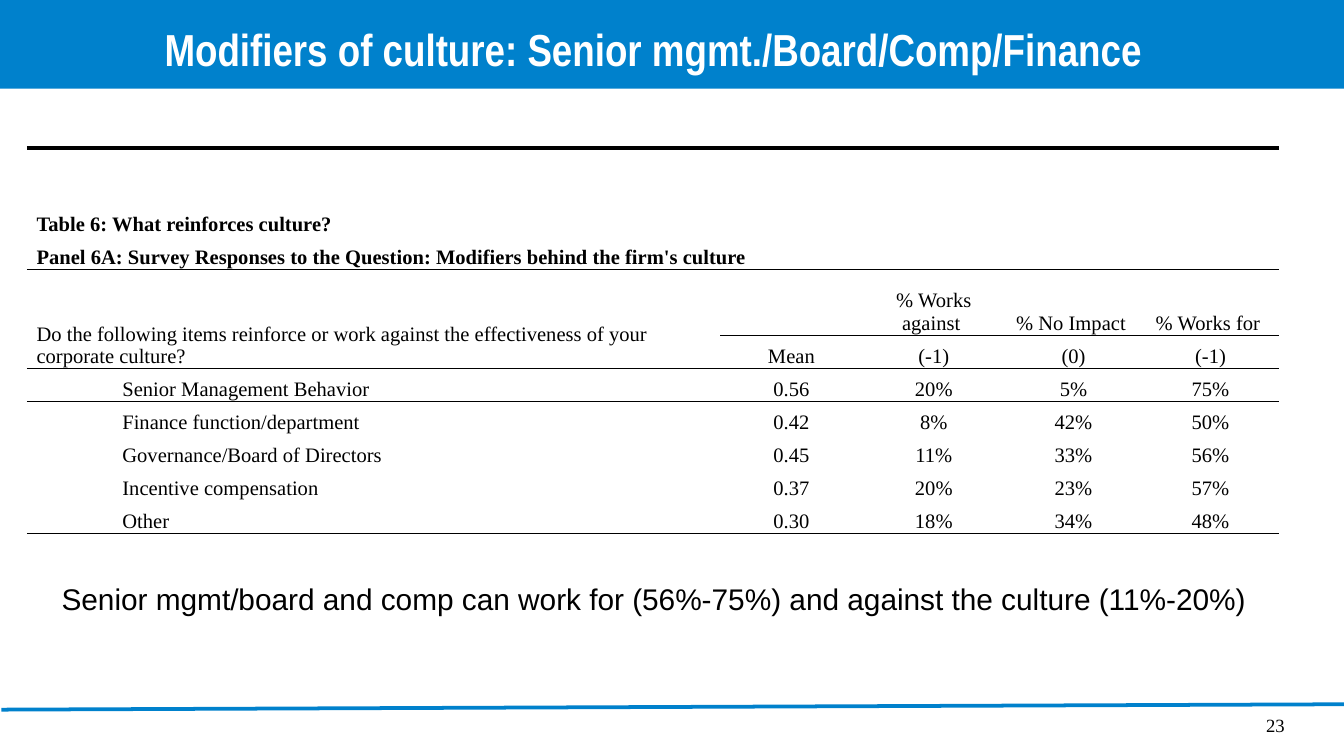
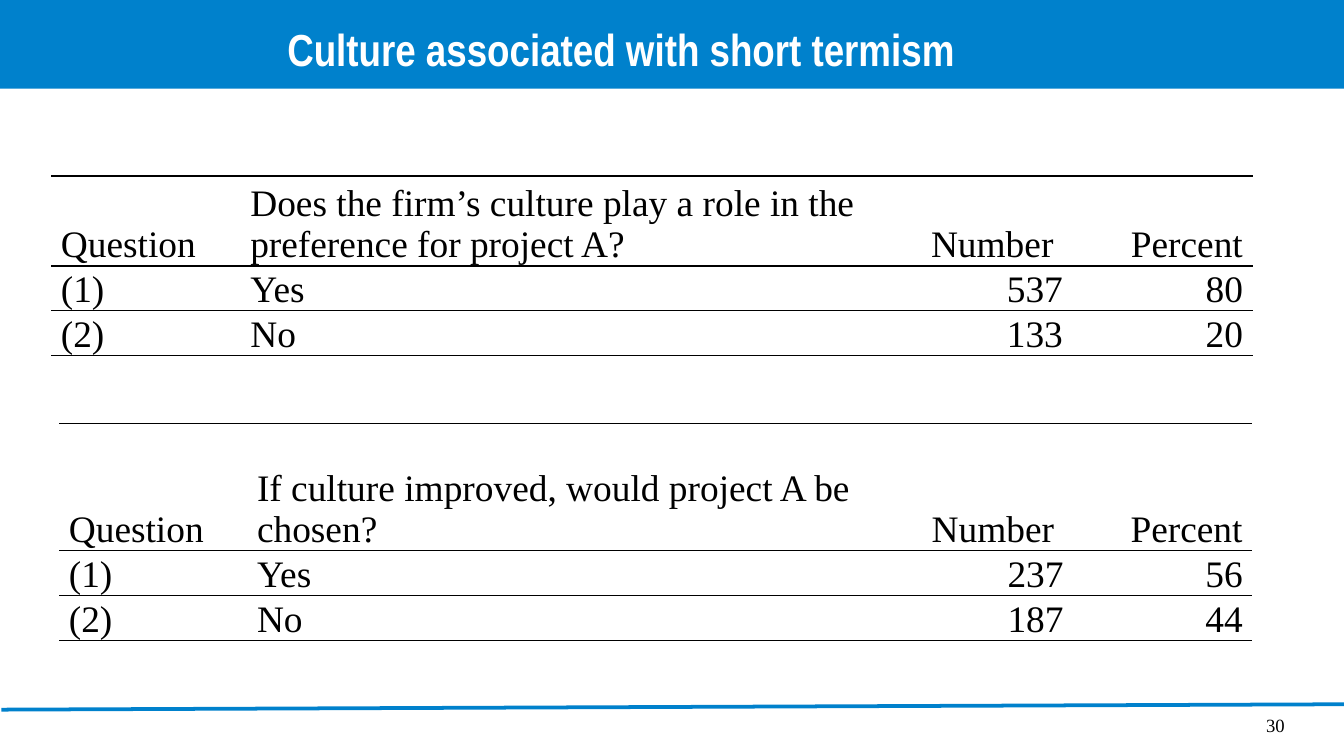
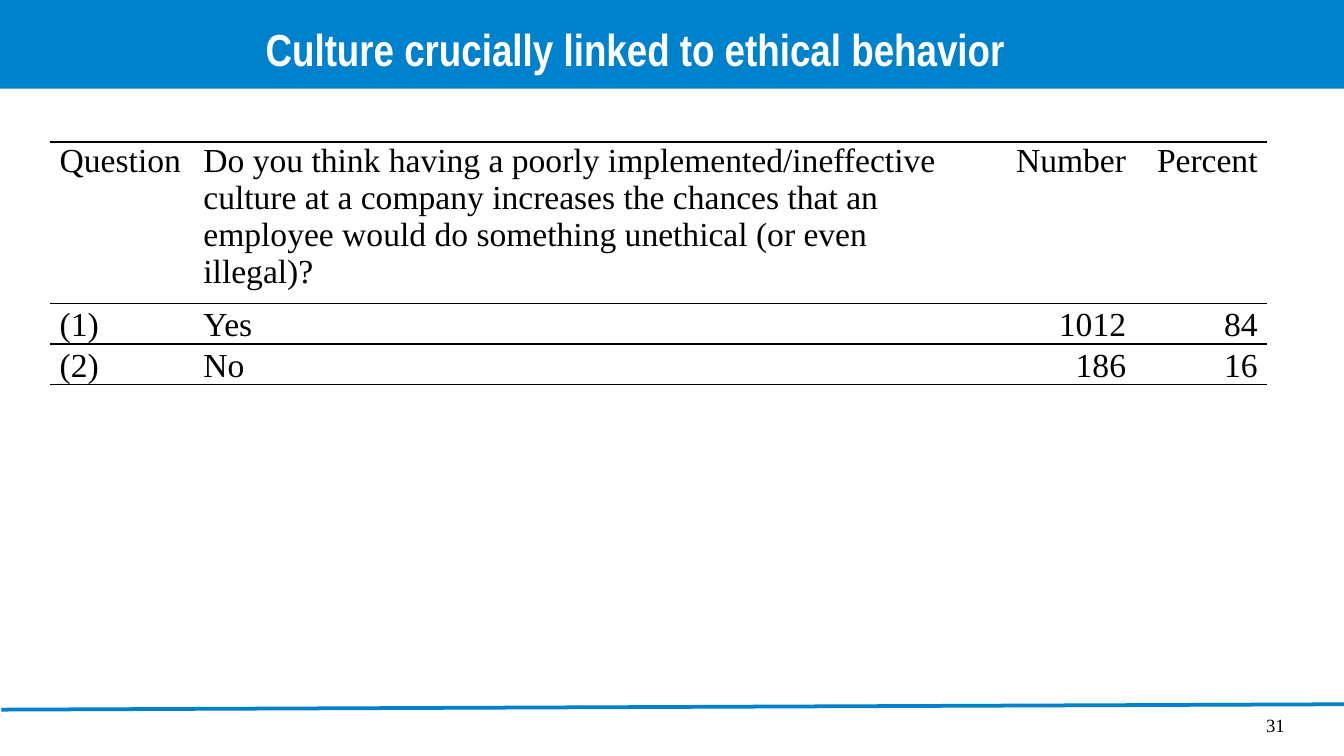
from pptx import Presentation
from pptx.dml.color import RGBColor
from pptx.enum.shapes import MSO_CONNECTOR as Link, MSO_SHAPE as Shape
from pptx.enum.text import MSO_ANCHOR as Anchor, PP_ALIGN as Align
from pptx.oxml.ns import qn
from pptx.util import Pt
from lxml.etree import SubElement, Element

HUE = {"blue": "0081CC", "white": "FFFFFF", "black": "000000"}
SERIF, SANS, NARROW = "Times New Roman", "Arial", "Arial Narrow"
WIDE, HIGH = 720, 405
PLAIN = "{2D5ABB26-0587-4C30-8999-92F81FD0307C}"  # no style, no grid
SIDE = {"l": Align.LEFT, "c": Align.CENTER, "r": Align.RIGHT}

DRIVERS = {
    "at": (14.4, 79.2), "size": 11, "sides": "llcccc",
    "cols": [46, 325.5, 76.3, 76.3, 73.4, 73.4],
    "rows": [47.5, 17.7, 35.3] + [17.7] * 6,
    "rules": {0: 2.25, 2: 1, 4: 1, 9: 1},
    "spans": [(0, 0, 0, 1), (1, 0, 1, 2), (2, 0, 3, 1)],
    "bold": 2,
    "cells": [
        ["Table 6: What reinforces culture?"],
        ["Panel 6A: Survey Responses to the Question: Modifiers behind the firm's culture"],
        ["Do the following items reinforce or work against the effectiveness of your corporate culture?",
         "", "", "% Works against ", "% No Impact ", "% Works for "],
        ["", "", "Mean", "(-1)", "(0)", "(-1)"],
        ["", "Senior Management Behavior", "0.56", "20%", "5%", "75%"],
        ["", "Finance function/department", "0.42", "8%", "42%", "50%"],
        ["", "Governance/Board of Directors", "0.45", "11%", "33%", "56%"],
        ["", "Incentive compensation", "0.37", "20%", "23%", "57%"],
        ["", "Other", "0.30", "18%", "34%", "48%"],
    ],
}


def poll(at, size, cols, rows, ask, yes, no, number="Number ", head=Anchor.BOTTOM):
    """Describe a yes/no question table."""
    return {
        "at": at, "size": size, "sides": "llrr", "cols": cols, "rows": rows,
        "rules": {0: 1, 1: 1, 3: 1}, "head": head,
        "cells": [["Question", ask, number, "Percent"],
                  ["(1)", "Yes", *yes], ["(2)", "No", *no]],
    }


ROLE = poll((27.4, 94.3), 20, [101.5, 349.2, 96.5, 96.5], [44, 22.25, 22.25],
            "Does the firm’s culture play a role in the preference for project A?",
            ("537", "80"), ("133", "20"))
BETTER = poll((31.7, 226.8), 20, [100.8, 346.5, 96, 96], [68.2, 22.25, 22.25],
              "If culture improved, would project A be chosen?",
              ("237", "56"), ("187", "44"))
ETHICS = poll((26.8, 76.2), 18, [77, 428.4, 76.3, 70.5], [79.6, 20, 20],
              "Do you think having a poorly implemented/ineffective culture at a company "
              "increases the chances that an employee would do something unethical "
              "(or even illegal)?",
              ("1012", "84"), ("186", "16"), "Number", Anchor.TOP)

# title, its left edge, page number, tables, caption
SLIDES = [
    ("Modifiers of culture: Senior mgmt./Board/Comp/Finance", 46, "23", [DRIVERS],
     "Senior mgmt/board and comp can work for (56%-75%) and against the culture (11%-20%)"),
    ("Culture associated with short termism", 11.5, "30", [ROLE, BETTER], ""),
    ("Culture crucially linked to ethical behavior", 26.6, "31", [ETHICS], ""),
]
TITLE_END = 654


def rgb(name):
    return RGBColor.from_string(HUE[name])


def style(para, face, size, hue="black", bold=False, side="l"):
    para.alignment = SIDE[side]
    font = para.font
    font.name, font.size, font.bold = face, Pt(size), bold
    font.color.rgb = rgb(hue)


def label(slide, text, box, inset, *look, anchor=Anchor.TOP, space=1.0):
    frame = slide.shapes.add_textbox(*map(Pt, box)).text_frame
    frame.word_wrap = True
    frame.vertical_anchor = anchor
    frame.margin_left = frame.margin_right = Pt(inset)
    frame.margin_top = frame.margin_bottom = Pt(inset / 2)
    para = frame.paragraphs[0]
    para.text = text
    para.line_spacing = space
    style(para, *look)


def edge(cell, tag, width):
    line = Element(qn(tag), w=str(Pt(width)))
    fill = SubElement(line, qn("a:solidFill"))
    SubElement(fill, qn("a:srgbClr"), val=HUE["black"])
    cell._tc.get_or_add_tcPr().insert(0, line)


def grid(slide, data):
    cols, rows, rules = data["cols"], data["rows"], data["rules"]
    box = (*data["at"], sum(cols), sum(rows))
    frame = slide.shapes.add_table(len(rows), len(cols), *map(Pt, box))
    next(frame._element.iter(qn("a:tableStyleId"))).text = PLAIN
    table = frame.table
    table.first_row = table.horz_banding = False
    for col, width in zip(table.columns, cols):
        col.width = Pt(width)
    for row, height in zip(table.rows, rows):
        row.height = Pt(height)
    for top, left, low, right in data.get("spans", []):
        table.cell(top, left).merge(table.cell(low, right))
    for r, texts in enumerate(data["cells"]):
        for c, side in enumerate(data["sides"]):
            cell = table.cell(r, c)
            cell.margin_left = cell.margin_right = Pt(5.2)
            cell.margin_top = cell.margin_bottom = 0
            cell.vertical_anchor = Anchor.BOTTOM if r else data.get("head", Anchor.BOTTOM)
            cell.fill.solid()
            cell.fill.fore_color.rgb = rgb("white")
            para = cell.text_frame.paragraphs[0]
            if c < len(texts) and texts[c]:
                para.text = texts[c]
            style(para, SERIF, data["size"], "black", r < data.get("bold", 0), side)
            end = r + (cell.span_height if cell.is_merge_origin else 1)
            for tag, at in (("a:lnB", end), ("a:lnT", r)):
                if at in rules:
                    edge(cell, tag, rules[at])


def base(slide, title, left, page):
    """Draw the band, title, foot line and page number."""
    band = slide.shapes.add_shape(Shape.RECTANGLE, 0, 0, Pt(WIDE), Pt(47.5))
    band.shadow.inherit = False
    band.fill.solid()
    band.fill.fore_color.rgb = rgb("blue")
    band.line.fill.background()
    ends = (0.7, 380.2, WIDE, 377.3)
    foot = slide.shapes.add_connector(Link.STRAIGHT, *map(Pt, ends))
    foot.line.color.rgb = rgb("blue")
    foot.line.width = Pt(2)
    SubElement(foot._element.spPr, qn("a:effectLst"))
    label(slide, title, (left, 12.2, TITLE_END - left, 31.7), 5.8,
          NARROW, 24, "white", True, "c", anchor=Anchor.MIDDLE, space=0.9)
    label(slide, page, (547.2, 379.4, 146.9, 28), 5.8, SERIF, 10, "black", False, "r")


def main():
    deck = Presentation()
    deck.slide_width, deck.slide_height = Pt(WIDE), Pt(HIGH)
    for title, left, page, tables, note in SLIDES:
        slide = deck.slides.add_slide(deck.slide_layouts[6])
        base(slide, title, left, page)
        for data in tables:
            grid(slide, data)
        if note:
            label(slide, note, (25.9, 307.4, 677.5, 26.6), 7.2, SANS, 16)
    deck.save("out.pptx")


if __name__ == "__main__":
    main()
